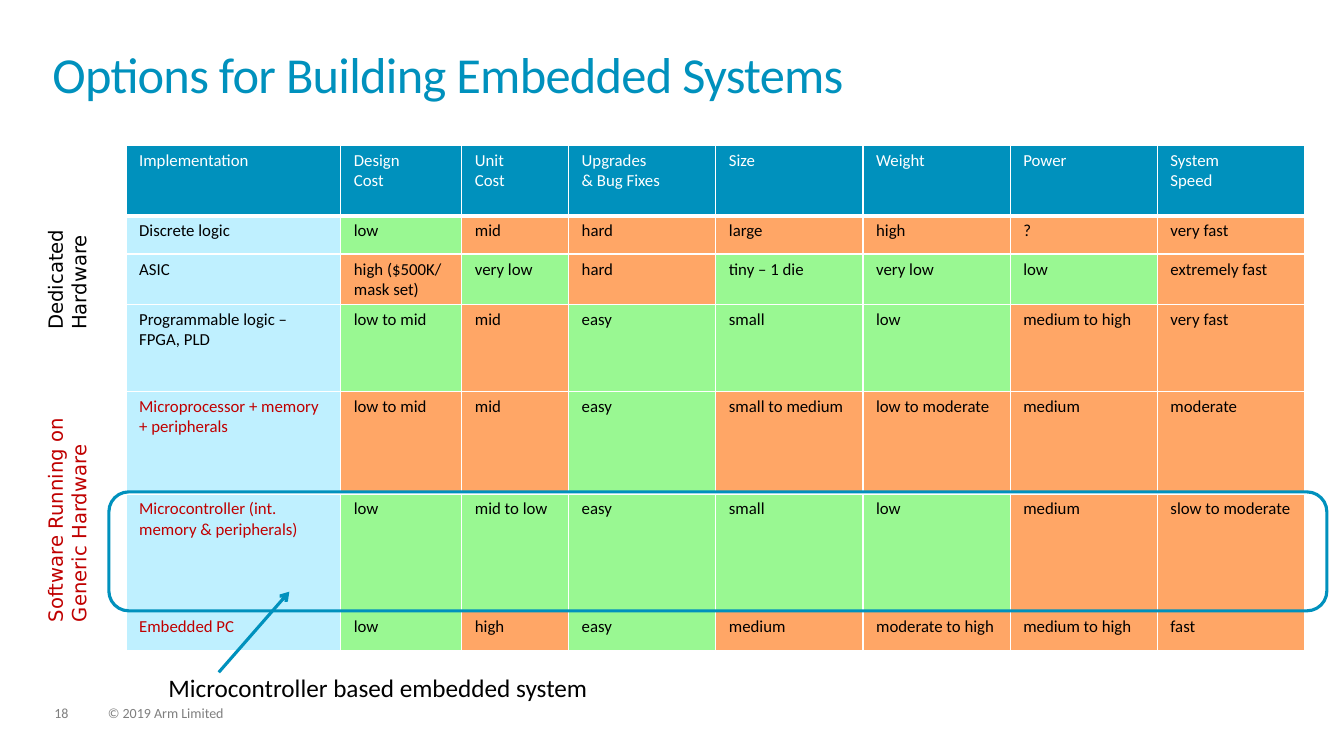
from lxml import etree
from pptx import Presentation
from pptx.dml.color import RGBColor
from pptx.enum import shapes, text
from pptx.oxml.ns import qn
from pptx.util import Inches, Pt

TEAL = RGBColor(0x00, 0x91, 0xBD)
PALE_BLUE = RGBColor(0xBF, 0xF0, 0xFF)
GREEN = RGBColor(0x99, 0xF8, 0x92)
ORANGE = RGBColor(0xFF, 0xA6, 0x66)
RED = RGBColor(0xC0, 0x00, 0x00)
GRAY = RGBColor(0x7F, 0x7F, 0x7F)
BLACK = RGBColor(0, 0, 0)
WHITE = RGBColor(0xFF, 0xFF, 0xFF)

# Content
TITLE = "Options for Building Embedded Systems"
HEADER = ["Implementation", "Design\nCost", "Unit\nCost", "Upgrades\n& Bug Fixes",
          "Size", "Weight", "Power", "System\nSpeed"]
# Name, name colour, ratings, and one mark per rating: g = good, p = poor
OPTIONS = [
    ("Discrete logic", BLACK,
     ["low", "mid", "hard", "large", "high", "?", "very fast"], "gpppppp"),
    ("ASIC", BLACK,
     ["high ($500K/ mask set)", "very low", "hard", "tiny – 1 die", "very low", "low",
      "extremely fast"], "pgpgggp"),
    ("Programmable logic – FPGA, PLD", BLACK,
     ["low to mid", "mid", "easy", "small", "low", "medium to high", "very fast"], "gpgggpp"),
    ("Microprocessor + memory + peripherals", RED,
     ["low to mid", "mid", "easy", "small to medium", "low to moderate", "medium",
      "moderate"], "ppgpppp"),
    ("Microcontroller (int. memory & peripherals)", RED,
     ["low", "mid to low", "easy", "small", "low", "medium", "slow to moderate"], "gggggpp"),
    ("Embedded PC", RED,
     ["low", "high", "easy", "medium", "moderate to high", "medium to high", "fast"], "gpgpppp"),
]
FILLS = {"g": GREEN, "p": ORANGE}
COL_WIDTHS = [2.13, 1.2, 1.06] + [1.46] * 5
ROW_HEIGHTS = [0.7, 0.38, 0.47, 0.86, 1.02, 1.17, 0.38]
# Text, box, colour, wrap
SIDE_LABELS = [
    (["Dedicated", "Hardware"], (0.04, 2.46, 1.25, 0.57), BLACK, False),
    (["Software Running on\nGeneric Hardware"], (-0.65, 4.67, 2.63, 0.57), RED, True),
]
# Text, box, size, colour, line spacing, wrap
PLAIN_TEXTS = [
    ("18", (0.54, 7.01, 0.34, 0.15), 10, GRAY, 0.9, True),
    ("© 2019 Arm Limited", (1.07, 7.01, 5.07, 0.15), 10, GRAY, 0.9, True),
    ("Microcontroller based embedded system", (1.67, 6.67, 4.2, 0.3), 18, BLACK, 1.0, False),
]


def inches(box):
    return [Inches(v) for v in box]


def set_font(p, size, color, name="Calibri"):
    p.font.size, p.font.name = Pt(size), name
    p.font.color.rgb = color


def no_margins(tf):
    tf.margin_left = tf.margin_top = tf.margin_right = tf.margin_bottom = 0


def fill_cell(cell, words, color, fill, bottom_line=1):
    cell.fill.solid()
    cell.fill.fore_color.rgb = fill
    cell.margin_left = cell.margin_right = Inches(0.13)
    cell.margin_top = cell.margin_bottom = Inches(0.05)
    p = cell.text_frame.paragraphs[0]
    p.text = words
    set_font(p, 12, color)
    # White borders go ahead of the fill
    tc_pr = cell._tc.get_or_add_tcPr()
    for i, side in enumerate(("lnL", "lnR", "lnT", "lnB")):
        width = bottom_line if side == "lnB" else 1
        ln = etree.Element(qn("a:" + side), w=str(Pt(width)))
        solid = etree.SubElement(ln, qn("a:solidFill"))
        etree.SubElement(solid, qn("a:srgbClr"), val=str(WHITE))
        tc_pr.insert(i, ln)


def main():
    prs = Presentation()
    prs.slide_width, prs.slide_height = Inches(13.33), Inches(7.5)
    s = prs.slides.add_slide(prs.slide_layouts[5])

    # Title
    title = s.shapes.title
    title.left, title.top, title.width, title.height = inches((0.52, 0.52, 12.28, 0.72))
    tf = title.text_frame
    no_margins(tf)
    tf.auto_size = text.MSO_AUTO_SIZE.NONE
    tf.vertical_anchor = text.MSO_ANCHOR.TOP
    p = tf.paragraphs[0]
    p.text = TITLE
    p.alignment = text.PP_ALIGN.LEFT
    p.line_spacing = 0.85
    set_font(p, 36, TEAL)
    p._p.pPr.find(qn("a:defRPr")).set("spc", "-50")

    # Footer and caption
    for words, box, size, color, spacing, wrap in PLAIN_TEXTS:
        tf = s.shapes.add_textbox(*inches(box)).text_frame
        no_margins(tf)
        tf.word_wrap = wrap
        p = tf.paragraphs[0]
        p.text = words
        p.line_spacing = spacing
        set_font(p, size, color)

    # Rotated group labels
    for lines, box, color, wrap in SIDE_LABELS:
        sp = s.shapes.add_textbox(*inches(box))
        sp.rotation = 270
        tf = sp.text_frame
        tf.word_wrap = wrap
        for i, line in enumerate(lines):
            p = tf.add_paragraph() if i else tf.paragraphs[0]
            p.text = line
            set_font(p, 14, color, "DejaVu Sans")

    # Comparison table
    table = s.shapes.add_table(
        len(ROW_HEIGHTS), len(COL_WIDTHS),
        *inches((1.25, 1.44, sum(COL_WIDTHS), sum(ROW_HEIGHTS)))).table
    table.first_row = table.horz_banding = False
    for column, width in zip(table.columns, COL_WIDTHS):
        column.width = Inches(width)
    for row, height in zip(table.rows, ROW_HEIGHTS):
        row.height = Inches(height)
    for c, words in enumerate(HEADER):
        fill_cell(table.cell(0, c), words, WHITE, TEAL, bottom_line=3)
    for r, (name, color, ratings, marks) in enumerate(OPTIONS, 1):
        fill_cell(table.cell(r, 0), name, color, PALE_BLUE)
        for c, (rating, mark) in enumerate(zip(ratings, marks), 1):
            fill_cell(table.cell(r, c), rating, BLACK, FILLS[mark])

    # Microcontroller highlight
    frame = s.shapes.add_shape(shapes.MSO_SHAPE.ROUNDED_RECTANGLE,
                               *inches((1.08, 4.88, 12.08, 1.18)))
    frame.shadow.inherit = False
    frame.fill.background()

    # Arrow from caption to highlight
    arrow = s.shapes.add_connector(shapes.MSO_CONNECTOR.STRAIGHT,
                                   *inches((2.17, 6.67, 2.87, 5.87)))
    for sp in (frame, arrow):
        sp.line.color.rgb = TEAL
        sp.line.width = Pt(2.25)
    etree.SubElement(arrow.line._get_or_add_ln(), qn("a:tailEnd"), type="arrow")
    etree.SubElement(arrow._element.spPr, qn("a:effectLst"))

    prs.save("out.pptx")


if __name__ == "__main__":
    main()
